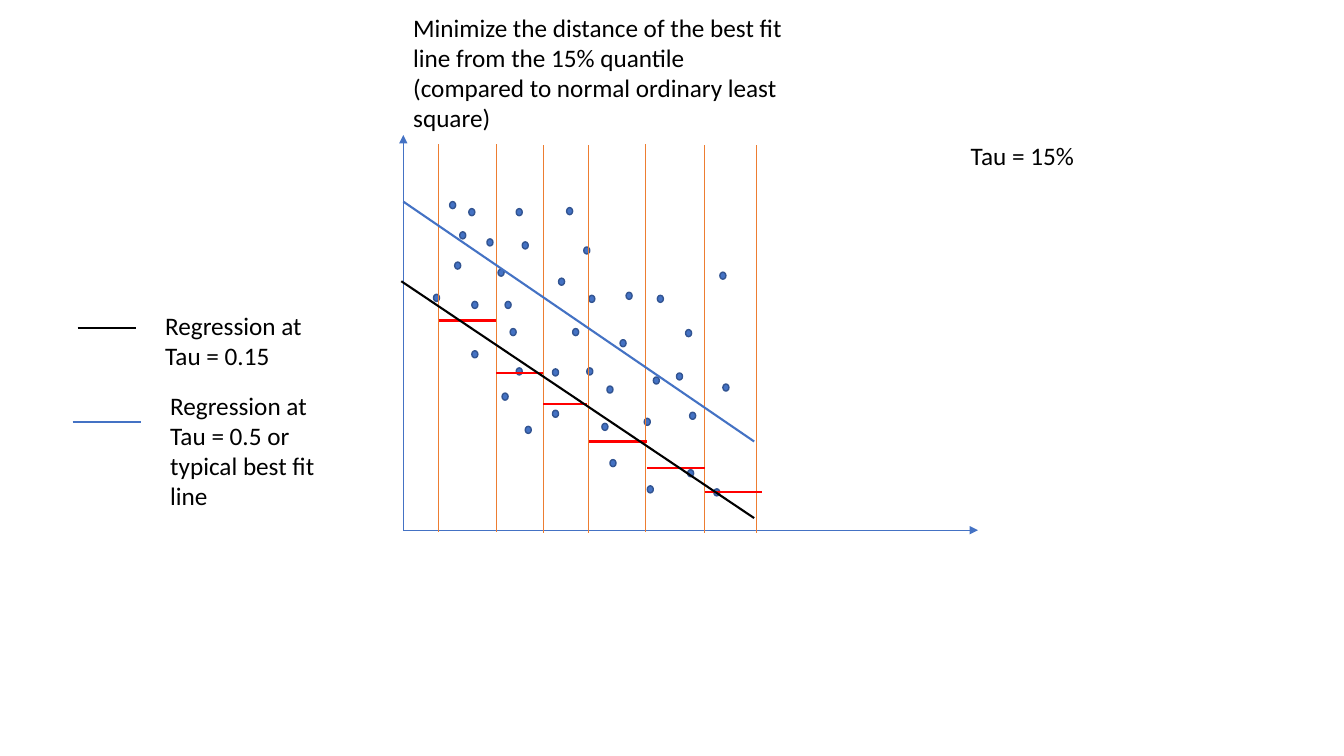
import pptx
import pptx.util
import pptx.dml.color
import pptx.enum.shapes
import pptx.oxml.ns
import pptx.oxml.xmlchemy
from dataclasses import dataclass
from pptx.util import Inches


@dataclass(frozen=True)
class Theme:
    font: str = "Calibri"
    text_size: int = 18
    thin: float = 0.5
    outline: float = 1
    thick: float = 1.5
    black: str = "000000"
    blue: str = "4472C4"
    dark_blue: str = "325491"
    orange: str = "ED7D31"
    red: str = "FF0000"


theme = Theme()

headline = (
    "Minimize the distance of the best fit line from the 15% quantile "
    "(compared to normal ordinary least square)"
)
notes = [
    (headline, 4, 0.07, 4.03, 1.31),
    ("Tau = 15%", 9.53, 1.34, 2.17, 0.4),
    ("Regression at Tau = 0.15", 1.54, 3.03, 1.7, 0.71),
    ("Regression at Tau = 0.5 or typical best fit line", 1.59, 3.82, 1.7, 1.31),
]

origin = (4, 5.26)
axis_ends = [(4, 1.34), (9.7, 5.26)]

dot_width, dot_height = 0.06, 0.07
observations = [
    (4.46, 2), (4.56, 2.3), (4.65, 2.07), (4.51, 2.6), (5.12, 2.07),
    (4.83, 2.37), (4.68, 2.99), (5.18, 2.4), (4.94, 2.67), (5.01, 2.99),
    (5.54, 2.76), (5.79, 2.45), (5.06, 3.26), (4.98, 3.9), (5.48, 3.66),
    (5.68, 3.26), (5.84, 2.93), (6.52, 2.93), (7.14, 2.7), (6.02, 3.83),
    (5.48, 4.07), (6.15, 3.37), (6.39, 4.15), (6.48, 3.74), (5.97, 4.2),
    (6.71, 3.7), (6.05, 4.56), (6.84, 4.09), (6.42, 4.82), (6.82, 4.66),
    (6.8, 3.27), (5.82, 3.65), (5.12, 3.65), (7.17, 3.81), (5.21, 4.23),
    (4.3, 2.92), (4.68, 3.48), (5.62, 2.06), (7.08, 4.85), (6.21, 2.9),
]

bin_height = 3.85
bin_edges = [
    (4.35, 1.43), (4.92, 1.43), (5.39, 1.44), (5.84, 1.44),
    (6.4, 1.43), (6.99, 1.44), (7.5, 1.44),
]
quantiles = [
    (4.35, 4.92, 3.18), (4.92, 5.39, 3.7), (5.39, 5.82, 4.01),
    (5.84, 6.42, 4.38), (6.42, 6.99, 4.64), (6.99, 7.56, 4.88),
]
regressions = [
    ((3.98, 2.79), (7.48, 5.14), theme.black),
    ((0.77, 3.25), (1.35, 3.25), theme.black),
    ((4, 2), (7.48, 4.38), theme.blue),
    ((0.72, 4.19), (1.4, 4.19), theme.blue),
]

deck = pptx.Presentation()
deck.slide_width, deck.slide_height = Inches(13.33), Inches(7.5)
slide = deck.slides.add_slide(deck.slide_layouts[6])


def rgb(color):
    return pptx.dml.color.RGBColor.from_string(color)


def draw_line(start, end, color, weight, arrow=False):
    line = slide.shapes.add_connector(
        pptx.enum.shapes.MSO_CONNECTOR.STRAIGHT,
        *(Inches(value) for value in (*start, *end)),
    )
    line.line.color.rgb = rgb(color)
    line.line.width = pptx.util.Pt(weight)
    properties = line._element.find(pptx.oxml.ns.qn("p:spPr"))
    if arrow:
        outline = properties.find(pptx.oxml.ns.qn("a:ln"))
        head = pptx.oxml.xmlchemy.OxmlElement("a:tailEnd")
        head.set("type", "triangle")
        outline.append(head)
    properties.append(pptx.oxml.xmlchemy.OxmlElement("a:effectLst"))


def draw_dot(left, top):
    dot = slide.shapes.add_shape(
        pptx.enum.shapes.MSO_SHAPE.OVAL,
        *(Inches(value) for value in (left, top, dot_width, dot_height)),
    )
    dot.shadow.inherit = False
    dot.fill.solid()
    dot.fill.fore_color.rgb = rgb(theme.blue)
    dot.line.color.rgb = rgb(theme.dark_blue)
    dot.line.width = pptx.util.Pt(theme.outline)


def write_note(wording, *place):
    note = slide.shapes.add_textbox(*(Inches(value) for value in place))
    note.text_frame.word_wrap = True
    note.text_frame.text = wording
    font = note.text_frame.paragraphs[0].runs[0].font
    font.name = theme.font
    font.size = pptx.util.Pt(theme.text_size)
    font.color.rgb = rgb(theme.black)


for axis_end in axis_ends:
    draw_line(origin, axis_end, theme.blue, theme.thin, arrow=True)
for observation in observations:
    draw_dot(*observation)
for x, top in bin_edges:
    draw_line((x, top), (x, top + bin_height), theme.orange, theme.thin)
for left, right, level in quantiles:
    draw_line((left, level), (right, level), theme.red, theme.thick)
for start, end, color in regressions:
    draw_line(start, end, color, theme.thick)
for note in notes:
    write_note(*note)

deck.save("out.pptx")
